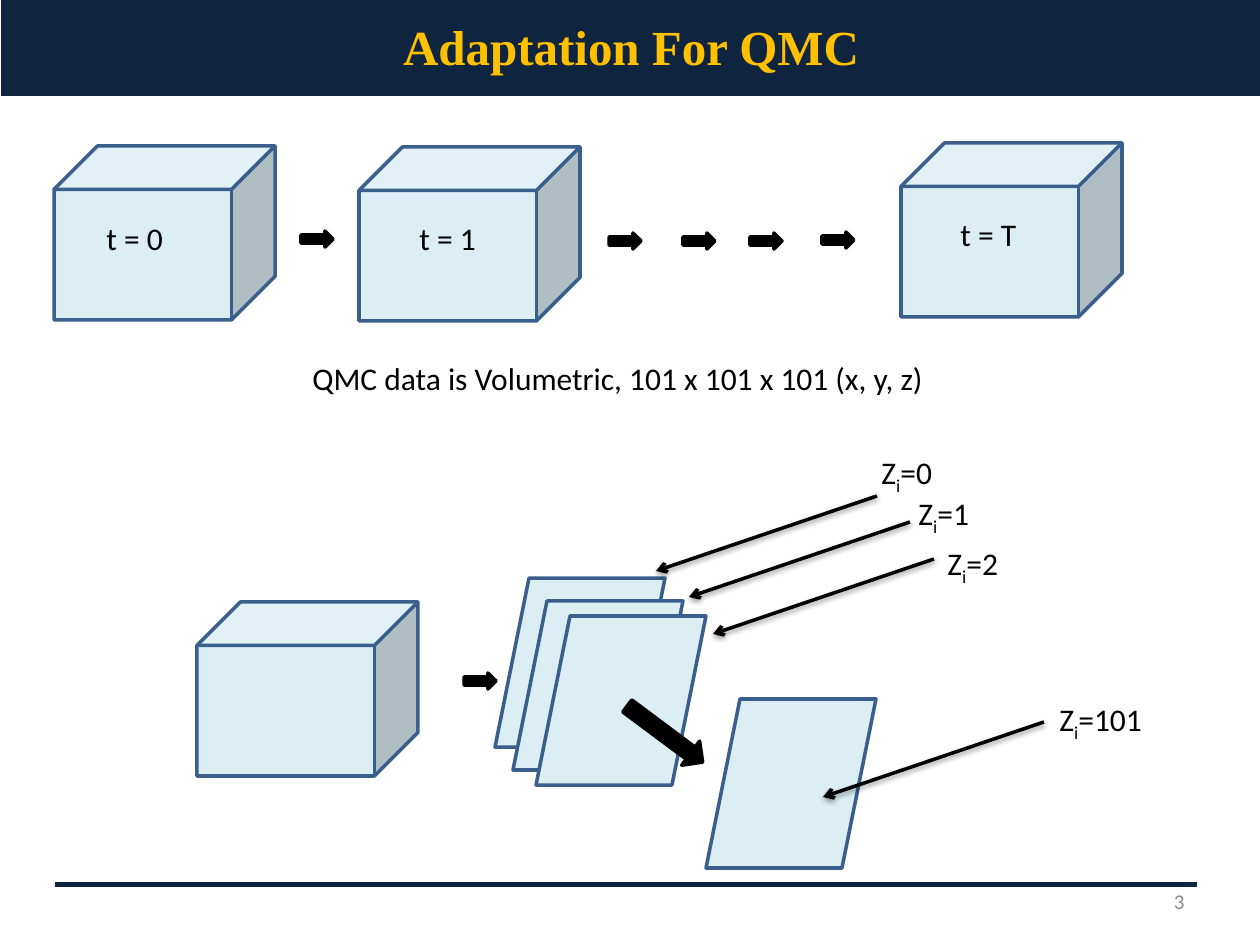
from lxml.etree import SubElement
from pptx import Presentation
from pptx.dml.color import RGBColor
from pptx.enum.shapes import MSO_CONNECTOR, MSO_SHAPE
from pptx.enum.text import MSO_ANCHOR, PP_ALIGN
from pptx.oxml.ns import qn
from pptx.util import Pt

PX = 914400 / 126
COLORS = {
    "navy": "0F243E", "gold": "FFC000", "pale": "DBEEF4", "edge": "3A5F8C",
    "black": "000000", "white": "FFFFFF", "gray": "8C8C8C",
}


def emu(*vals):
    """Turn px lengths into EMU."""
    return [round(v * PX) for v in vals]


def rgb(name):
    """Look up a colour by name."""
    return RGBColor.from_string(COLORS[name])


def style(para, size=18, color="black", face="Calibri", bold=False):
    """Set the font of a paragraph."""
    font = para.font
    font.size, font.name, font.bold = Pt(size), face, bold
    font.color.rgb = rgb(color)


def shape(slide, kind, x, y, w, h, fill, edge=None):
    """Add a filled preset shape, outlined if an edge colour is given."""
    item = slide.shapes.add_shape(kind, *emu(x, y, w, h))
    item.shadow.inherit = False
    item.fill.solid()
    item.fill.fore_color.rgb = rgb(fill)
    if edge:
        item.line.color.rgb = rgb(edge)
        item.line.width = Pt(2)
    else:
        item.line.fill.background()
    return item


def label(slide, text, x, y, w, sub=None, tail=""):
    """Add a text box, with an optional subscript and a tail after it."""
    frame = slide.shapes.add_textbox(*emu(x, y, w, 50)).text_frame
    frame.word_wrap = True
    para = frame.paragraphs[0]
    para.add_run().text = text
    if sub:
        low = para.add_run()
        low.text = sub
        low.font._element.set("baseline", "-25000")
        para.add_run().text = tail
    style(para)
    return frame


def cube(slide, x, y):
    """Add one data volume."""
    shape(slide, MSO_SHAPE.CUBE, x, y, 221, 174, "pale", "edge")


def arrow(slide, x, y):
    """Add one small block arrow."""
    shape(slide, MSO_SHAPE.RIGHT_ARROW, x, y, 32, 16, "black", "black")


def pointer(slide, x, y):
    """Add a shadowed line with an arrowhead, falling to the left."""
    link = slide.shapes.add_connector(
        MSO_CONNECTOR.STRAIGHT, *emu(x, y, x - 221, y + 75))
    link.line.color.rgb = rgb("black")
    link.line.width = Pt(2)
    props = link._element.spPr
    SubElement(props.find(qn("a:ln")), qn("a:tailEnd"), type="arrow")
    glow = SubElement(SubElement(props, qn("a:effectLst")), qn("a:outerShdw"),
                      blurRad="40000", dist="20000", dir="5400000", rotWithShape="0")
    tint = SubElement(glow, qn("a:srgbClr"), val=COLORS["black"])
    SubElement(tint, qn("a:alpha"), val="38000")


def header(slide, x, y, w, h):
    """Draw the title band."""
    band = shape(slide, MSO_SHAPE.RECTANGLE, x, y, w, h, "navy", "white")
    frame = band.text_frame
    frame.text = "Adaptation For QMC"
    frame.vertical_anchor = MSO_ANCHOR.MIDDLE
    para = frame.paragraphs[0]
    para.alignment = PP_ALIGN.CENTER
    style(para, 28, "gold", "Times New Roman", True)


def footer(slide, x, y, w):
    """Draw the rule and the page number."""
    shape(slide, MSO_SHAPE.RECTANGLE, x, y, w, 5, "navy")
    frame = label(slide, "3", x + w - 294, y - 6, 294)
    frame.vertical_anchor = MSO_ANCHOR.MIDDLE
    para = frame.paragraphs[0]
    para.alignment = PP_ALIGN.RIGHT
    style(para, 12, "gray")


def series(slide, x, y):
    """Draw the volumes over time and their caption."""
    steps = [("t = 0", 0, 3, 40, 70), ("t = 1", 305, 4, 353, 70),
             ("t = T", 847, 0, 894, 66)]
    for text, left, top, tx, ty in steps:
        cube(slide, x + left, y + top)
        label(slide, text, x + tx, y + ty, 95)
    for left, top in [(247, 88), (555, 90), (629, 90), (696, 90), (768, 89)]:
        arrow(slide, x + left, y + top)
    label(slide, "QMC data is Volumetric, 101 x 101 x 101 (x, y, z)",
          x + 246, y + 210, 679)


def slices(slide, x, y):
    """Draw one volume cut into labelled sheets."""
    cube(slide, x, y + 155)
    arrow(slide, x + 267, y + 226)
    for left, top in [(298, 131), (316, 154), (339, 169), (509, 252)]:
        shape(slide, MSO_SHAPE.FLOWCHART_DATA, x + left, y + top, 170, 169,
              "pale", "edge")
    jump = shape(slide, MSO_SHAPE.DOWN_ARROW, x + 453, y + 240, 30, 94,
                 "black", "black")
    jump.rotation = 306.7
    marks = [("0", 680, 49, 672, 0), ("1", 713, 75, 709, 41),
             ("2", 737, 112, 738, 91), ("101", 847, 275, 850, 247)]
    for num, left, top, tx, ty in marks:
        pointer(slide, x + left, y + top)
        label(slide, "Z", x + tx, y + ty, 168, "i", f"={num}")


def main():
    """Build and save the slide."""
    deck = Presentation()
    deck.slide_width, deck.slide_height = emu(1260, 945)
    slide = deck.slides.add_slide(deck.slide_layouts[6])
    header(slide, -1, -6, 1264, 104)
    footer(slide, 55, 882, 1142)
    series(slide, 54, 143)
    slices(slide, 197, 447)
    deck.save("out.pptx")


if __name__ == "__main__":
    main()
